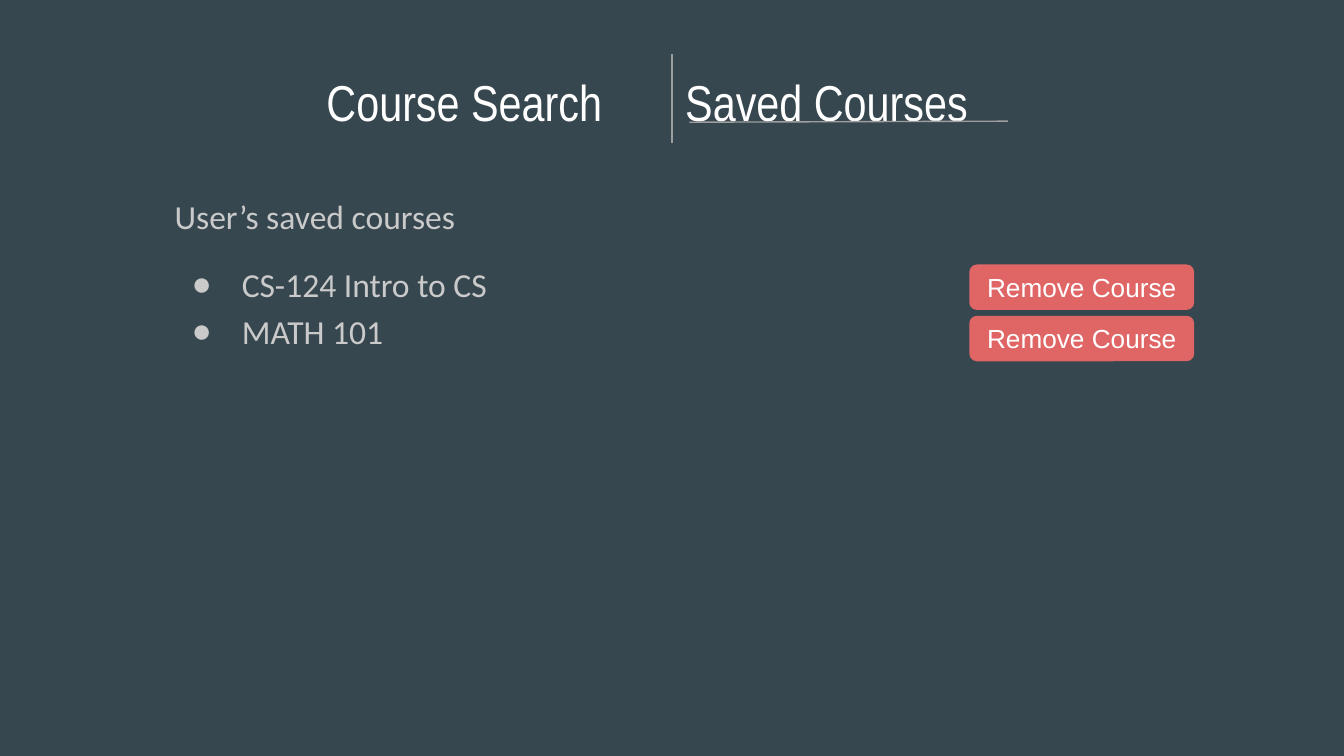
"""Build the saved-courses screen of a course search app."""
from dataclasses import dataclass

from lxml import etree
from pptx import Presentation
from pptx.dml.color import RGBColor
from pptx.enum.shapes import MSO_CONNECTOR, MSO_SHAPE
from pptx.enum.text import MSO_ANCHOR, MSO_AUTO_SIZE, PP_ALIGN
from pptx.oxml.ns import qn
from pptx.util import Cm, Pt

STRAIGHT = MSO_CONNECTOR.STRAIGHT
ROUNDED = MSO_SHAPE.ROUNDED_RECTANGLE
TOP, MIDDLE = MSO_ANCHOR.TOP, MSO_ANCHOR.MIDDLE
NO_FIT = MSO_AUTO_SIZE.NONE
LEFT, CENTER = PP_ALIGN.LEFT, PP_ALIGN.CENTER
TWO_CONTENT_LAYOUT = 3

COLORS = {
    "background": "37474F",
    "heading": "FFFFFF",
    "body": "CACACA",
    "rule": "9E9E9E",
    "remove": "E06666",
}


@dataclass(frozen=True)
class Box:
    left: float
    top: float
    width: float
    height: float


@dataclass(frozen=True)
class Rule:
    x1: float
    y1: float
    x2: float
    y2: float


COURSES = ("CS-124 Intro to CS", "MATH 101")
SEARCH_TAB = Box(5.92, 1.09, 6.78, 1.5)
SAVED_TAB = Box(12.7, 1.09, 7.95, 1.5)
COURSE_LIST = Box(3.05, 3.33, 19.28, 5.94)
FIRST_BUTTON = Box(18.32, 5.0, 4.25, 0.86)
BUTTON_PITCH = 0.97
RULES = (Rule(12.7, 1.03, 12.7, 2.7), Rule(13.03, 2.31, 19.05, 2.29))


def color(role: str) -> RGBColor:
    """Return the colour of a role."""
    return RGBColor.from_string(COLORS[role])


def place(shape, box: Box) -> None:
    """Move and size a shape."""
    shape.left, shape.top = Cm(box.left), Cm(box.top)
    shape.width, shape.height = Cm(box.width), Cm(box.height)


def set_bullet(paragraph, bulleted: bool) -> None:
    """Give a paragraph a round bullet, or none."""
    properties = paragraph._p.get_or_add_pPr()
    properties.set("marL", str(Cm(1.27) if bulleted else 0))
    properties.set("indent", str(Cm(-0.95) if bulleted else 0))
    if bulleted:
        tint = etree.SubElement(properties, qn("a:buClr"))
        etree.SubElement(tint, qn("a:srgbClr"), val=COLORS["body"])
        etree.SubElement(properties, qn("a:buChar"), char="●")
    else:
        etree.SubElement(properties, qn("a:buNone"))


def write(shape, lines: tuple[str, ...], *, font: str, size: float, role: str,
          align=LEFT, anchor=TOP, spacing: float = 1.0,
          first_bullet: int | None = None) -> None:
    """Fill a shape with lines, bulleted from first_bullet on."""
    frame = shape.text_frame
    frame.word_wrap, frame.auto_size = True, NO_FIT
    frame.vertical_anchor = anchor
    frame.margin_left = frame.margin_right = Cm(0.25)
    frame.margin_top = frame.margin_bottom = Cm(0.25)
    frame.text = "\n".join(lines)
    for index, paragraph in enumerate(frame.paragraphs):
        paragraph.alignment = align
        paragraph.line_spacing = spacing
        paragraph.space_before = Pt(12 if index == first_bullet else 0)
        set_bullet(paragraph, first_bullet is not None and index >= first_bullet)
        style = paragraph.runs[0].font
        style.name, style.size = font, Pt(size)
        style.color.rgb = color(role)


def add_rule(slide, rule: Rule) -> None:
    """Draw a thin grey line."""
    line = slide.shapes.add_connector(
        STRAIGHT, Cm(rule.x1), Cm(rule.y1), Cm(rule.x2), Cm(rule.y2))
    line.line.color.rgb = color("rule")
    line.line.width = Pt(0.75)
    etree.SubElement(line._element.spPr, qn("a:effectLst"))


def add_remove_button(slide, row: int) -> None:
    """Draw the remove button of one course row."""
    button = slide.shapes.add_shape(ROUNDED, 0, 0, 0, 0)
    first = FIRST_BUTTON
    place(button, Box(first.left, first.top + row * BUTTON_PITCH,
                      first.width, first.height))
    button.shadow.inherit = False
    button.fill.solid()
    button.fill.fore_color.rgb = color("remove")
    button.line.fill.background()
    write(button, ("Remove Course",), font="Arial", size=14, role="heading",
          align=CENTER, anchor=MIDDLE)


def main() -> None:
    """Build and save the slide."""
    presentation = Presentation()
    presentation.slide_width, presentation.slide_height = Cm(25.4), Cm(14.29)
    slide = presentation.slides.add_slide(
        presentation.slide_layouts[TWO_CONTENT_LAYOUT])
    slide.background.fill.solid()
    slide.background.fill.fore_color.rgb = color("background")

    search_tab, course_list, saved_tab = slide.placeholders
    for tab, box, label in ((search_tab, SEARCH_TAB, "Course Search"),
                            (saved_tab, SAVED_TAB, "Saved Courses")):
        place(tab, box)
        write(tab, (label,), font="Arial Narrow", size=27, role="heading")

    place(course_list, COURSE_LIST)
    write(course_list, ("User’s saved courses", *COURSES), font="Calibri",
          size=18, role="body", spacing=1.15, first_bullet=1)

    for rule in RULES:
        add_rule(slide, rule)
    for row in range(len(COURSES)):
        add_remove_button(slide, row)
    presentation.save("out.pptx")


if __name__ == "__main__":
    main()
